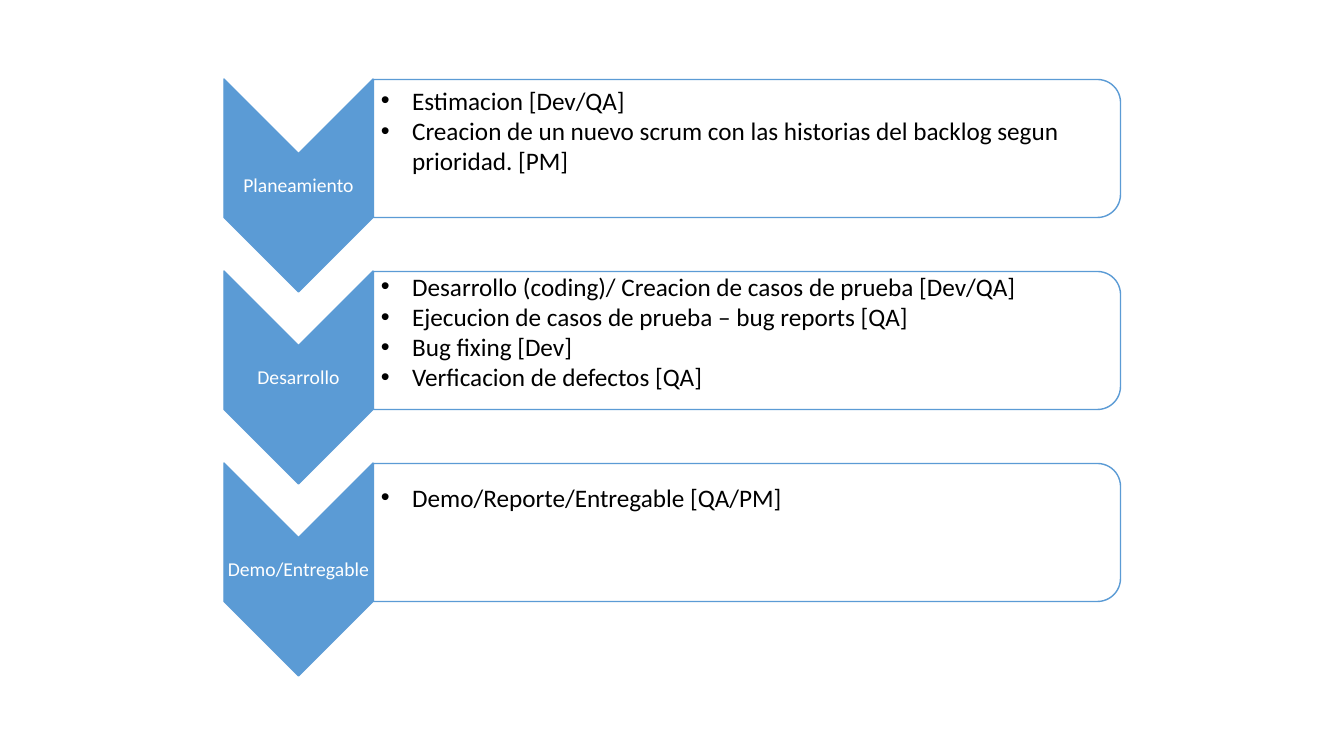
from lxml import etree
from pptx import Presentation
from pptx import util as u
from pptx.dml.color import RGBColor
from pptx.enum import shapes, text
from pptx.oxml import ns

PX = 914400 / 100.8
BLUE, WHITE, BLACK = "5B9BD5", "FFFFFF", "000000"
PITCH = 192

# Stage name, its tasks, and the task text's top, width, height and wrapping
STAGES = [
    ("Planeamiento",
     ["Estimacion [Dev/QA]",
      "Creacion de un nuevo scrum con las historias del backlog segun prioridad. [PM]"],
     (80, 729, 132, True)),
    ("Desarrollo",
     ["Desarrollo (coding)/ Creacion de casos de prueba [Dev/QA]",
      "Ejecucion de casos de prueba – bug reports [QA]",
      "Bug fixing [Dev]",
      "Verficacion de defectos [QA]"],
     (266, 729, 132, True)),
    ("Demo/Entregable",
     ["Demo/Reporte/Entregable [QA/PM]"],
     (477, 425, 40, False)),
]


def px(*lengths):
    return [u.Emu(round(length * PX)) for length in lengths]


def turned_shape(preset, place, fill):
    """Add a blue-outlined shape rotated a quarter turn clockwise."""
    shape = slide.shapes.add_shape(preset, *px(*place))
    shape.rotation = 90
    shape.shadow.inherit = False
    shape.fill.solid()
    shape.fill.fore_color.rgb = RGBColor.from_string(fill)
    shape.line.color.rgb = RGBColor.from_string(BLUE)
    shape.line.width = u.Pt(1)
    return shape


deck = Presentation()
deck.slide_width, deck.slide_height = px(1344, 756)
slide = deck.slides.add_slide(deck.slide_layouts[6])

for index, (name, tasks, (task_top, task_width, task_height, wraps)) in enumerate(STAGES):
    shift = index * PITCH
    turned_shape(shapes.MSO_SHAPE.CHEVRON, (192, 111 + shift, 213, 149), BLUE)

    label = slide.shapes.add_textbox(*px(224, 154 + shift, 149, 64))
    frame = label.text_frame
    frame.word_wrap = True
    frame.vertical_anchor = text.MSO_ANCHOR.MIDDLE
    frame.margin_left, frame.margin_top, frame.margin_right, frame.margin_bottom = px(1, 1, 1, 1)
    para = frame.paragraphs[0]
    para.text = name
    para.alignment = text.PP_ALIGN.CENTER
    para.line_spacing = 0.9
    para.font.name, para.font.size = "Calibri", u.Pt(14)
    para.font.color.rgb = RGBColor.from_string(WHITE)

    panel = turned_shape(shapes.MSO_SHAPE.ROUND_2_SAME_RECTANGLE,
                         (678, -225 + shift, 138, 747), WHITE)
    panel_color = panel.element.spPr.find(ns.qn("a:solidFill"))[0]
    etree.SubElement(panel_color, ns.qn("a:alpha"), val="90000")

    box = slide.shapes.add_textbox(*px(371, task_top, task_width, task_height))
    frame = box.text_frame
    frame.word_wrap = wraps
    frame.auto_size = text.MSO_AUTO_SIZE.SHAPE_TO_FIT_TEXT
    frame.text = "\n".join(tasks)
    indent = u.Inches(0.31)
    for para in frame.paragraphs:
        para.font.name, para.font.size = "Calibri", u.Pt(18)
        para.font.color.rgb = RGBColor.from_string(BLACK)
        properties = para._p.get_or_add_pPr()
        properties.set("marL", str(indent))
        properties.set("indent", str(-indent))
        bullet_font = etree.Element(ns.qn("a:buFont"), typeface="Arial")
        bullet = etree.Element(ns.qn("a:buChar"), char="•")
        properties.insert(0, bullet_font)
        properties.insert(1, bullet)

deck.save("out.pptx")
